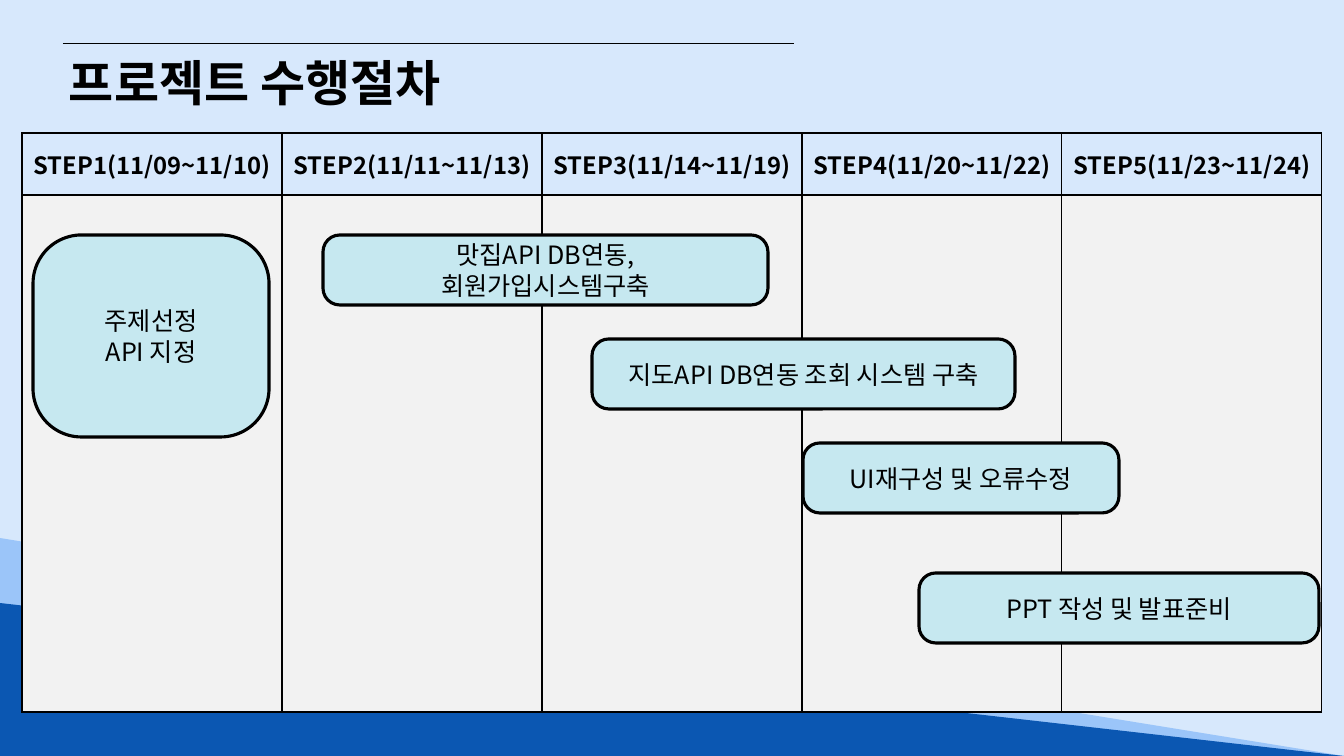
from lxml.etree import SubElement
from pptx import Presentation
from pptx.dml.color import RGBColor
from pptx.enum.shapes import MSO_CONNECTOR, MSO_SHAPE
from pptx.enum.text import MSO_ANCHOR, MSO_AUTO_SIZE, PP_ALIGN
from pptx.oxml.ns import qn
from pptx.util import Pt

PX = 914400 / 100.8
FONT = "Noto Sans CJK KR"
BLACK = "000000"


def px(*lengths):
    return [round(length * PX) for length in lengths]


def paint(color_format, color):
    color_format.solid()
    color_format.fore_color.rgb = RGBColor.from_string(color)


def_format = {"name": FONT, "size": Pt(18), "bold": False}
heading_format = {"name": FONT, "size": Pt(17), "bold": True}
title_format = {"name": FONT, "size": Pt(35), "bold": True}

deck = Presentation()
deck.slide_width, deck.slide_height = px(1344, 756)
slide = deck.slides.add_slide(deck.slide_layouts[6])
shapes = slide.shapes
paint(slide.background.fill, "D7E8FC")
styled_text = []

for top, color in [(538, "9BC5F9"), (603, "0B57B2")]:
    wave = shapes.add_shape(MSO_SHAPE.RIGHT_TRIANGLE, *px(0, top, 1344, 756 - top))
    wave.shadow.inherit = False
    paint(wave.fill, color)
    wave.line.fill.background()

rule = shapes.add_connector(MSO_CONNECTOR.STRAIGHT, *px(63, 43, 794, 43))
paint(rule.line.fill, BLACK)
rule.line.width = Pt(0.5)
SubElement(rule.element.spPr, qn("a:effectLst"))

title = shapes.add_textbox(*px(59, 48, 406, 70)).text_frame
title.word_wrap = False
title.auto_size = MSO_AUTO_SIZE.SHAPE_TO_FIT_TEXT
title.text = "프로젝트 수행절차"
styled_text.append((title, title_format, PP_ALIGN.LEFT))

step_dates = ["11/09~11/10", "11/11~11/13", "11/14~11/19", "11/20~11/22", "11/23~11/24"]
schedule = shapes.add_table(2, len(step_dates), *px(22, 133, 1300, 579)).table
schedule.first_row = schedule.horz_banding = False
for row, height in zip(schedule.rows, px(62, 517)):
    row.height = height
for index, dates in enumerate(step_dates):
    schedule.columns[index].width = px(260)[0]
    heading, body = schedule.cell(0, index), schedule.cell(1, index)
    heading.text = f"STEP{index + 1}({dates})"
    heading.vertical_anchor = MSO_ANCHOR.MIDDLE
    heading.margin_left = heading.margin_right = px(5)[0]
    styled_text.append((heading.text_frame, heading_format, PP_ALIGN.CENTER))
    for cell in (heading, body):
        properties = cell._tc.get_or_add_tcPr()
        for side in ("lnL", "lnR", "lnT", "lnB"):
            border = SubElement(properties, qn(f"a:{side}"), w=str(Pt(1)))
            SubElement(SubElement(border, qn("a:solidFill")), qn("a:srgbClr"), val=BLACK)
    heading.fill.background()
    paint(body.fill, "F2F2F2")

tasks = [
    ("주제선정\nAPI 지정", 33, 235, 236, 202, 10),
    ("맛집API DB연동, 회원가입시스템구축", 323, 235, 445, 70, 24),
    ("지도API DB연동 조회 시스템 구축", 592, 339, 423, 70, 10),
    ("UI재구성 및 오류수정", 803, 443, 316, 70, 10),
    ("PPT 작성 및 발표준비", 919, 573, 400, 70, 10),
]
for wording, left, top, width, height, margin in tasks:
    task = shapes.add_shape(MSO_SHAPE.ROUNDED_RECTANGLE, *px(left, top, width, height))
    task.adjustments[0] = 0.24
    task.shadow.inherit = False
    paint(task.fill, "C6E8F0")
    paint(task.line.fill, BLACK)
    task.line.width = Pt(2.25)
    label = task.text_frame
    label.word_wrap = True
    label.vertical_anchor = MSO_ANCHOR.MIDDLE
    label.margin_left = label.margin_right = px(margin)[0]
    label.text = wording
    styled_text.append((label, def_format, PP_ALIGN.CENTER))

for frame, format_values, alignment in styled_text:
    for paragraph in frame.paragraphs:
        paragraph.alignment = alignment
        for run in paragraph.runs:
            for attribute, value in format_values.items():
                setattr(run.font, attribute, value)
            paint(run.font.fill, BLACK)
            SubElement(run._r.get_or_add_rPr(), qn("a:ea"), typeface=FONT)

deck.save("out.pptx")
